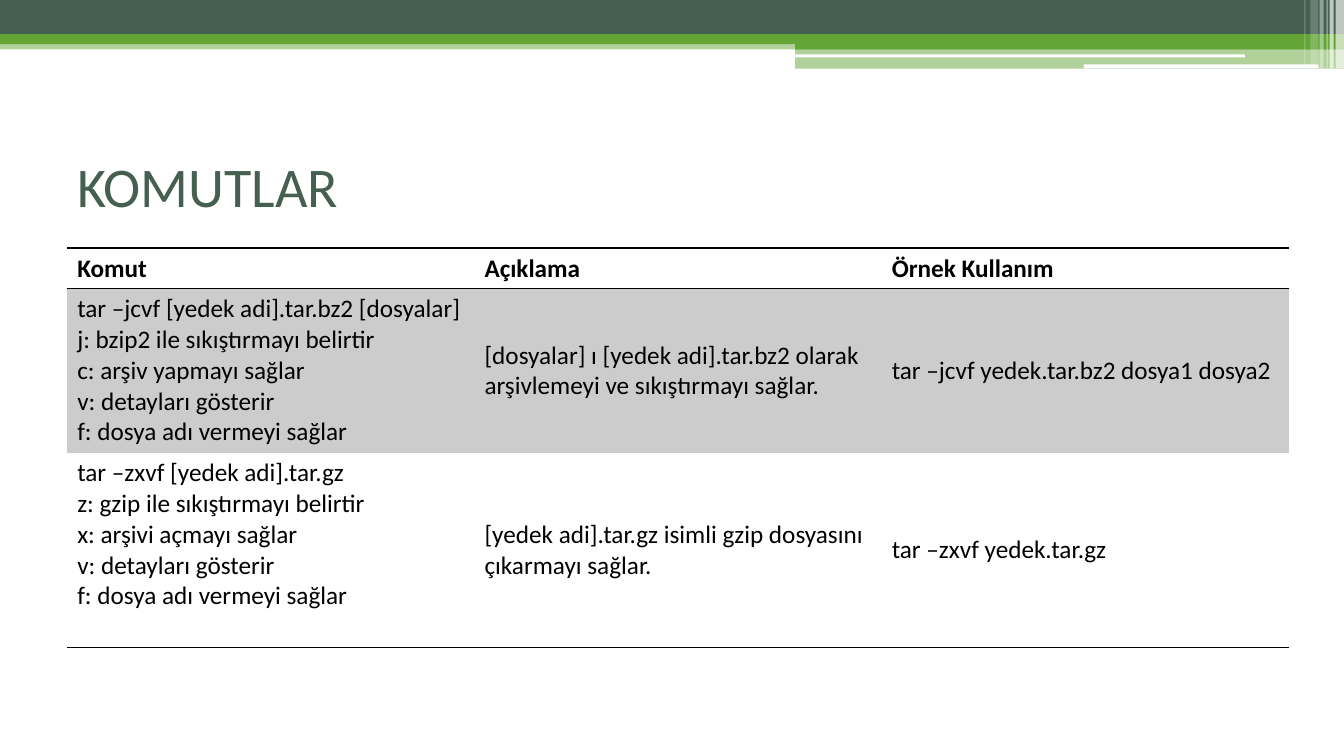
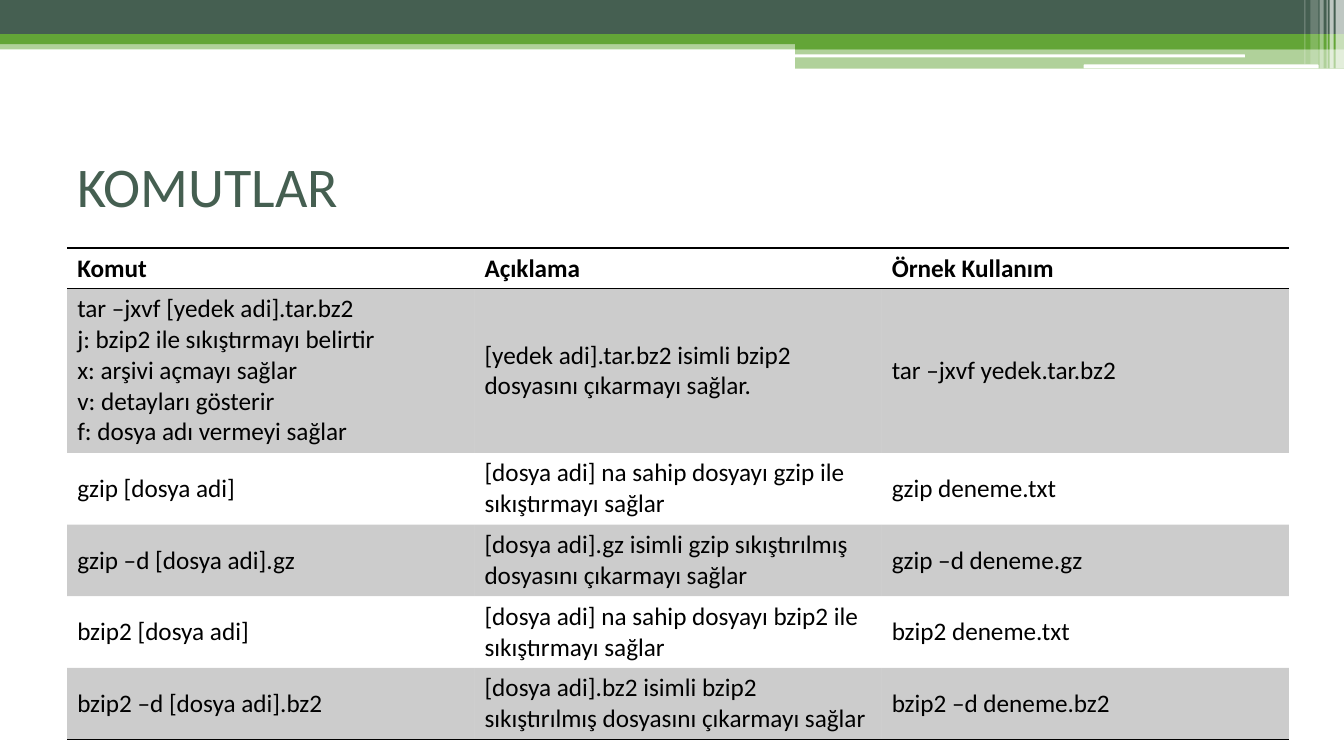
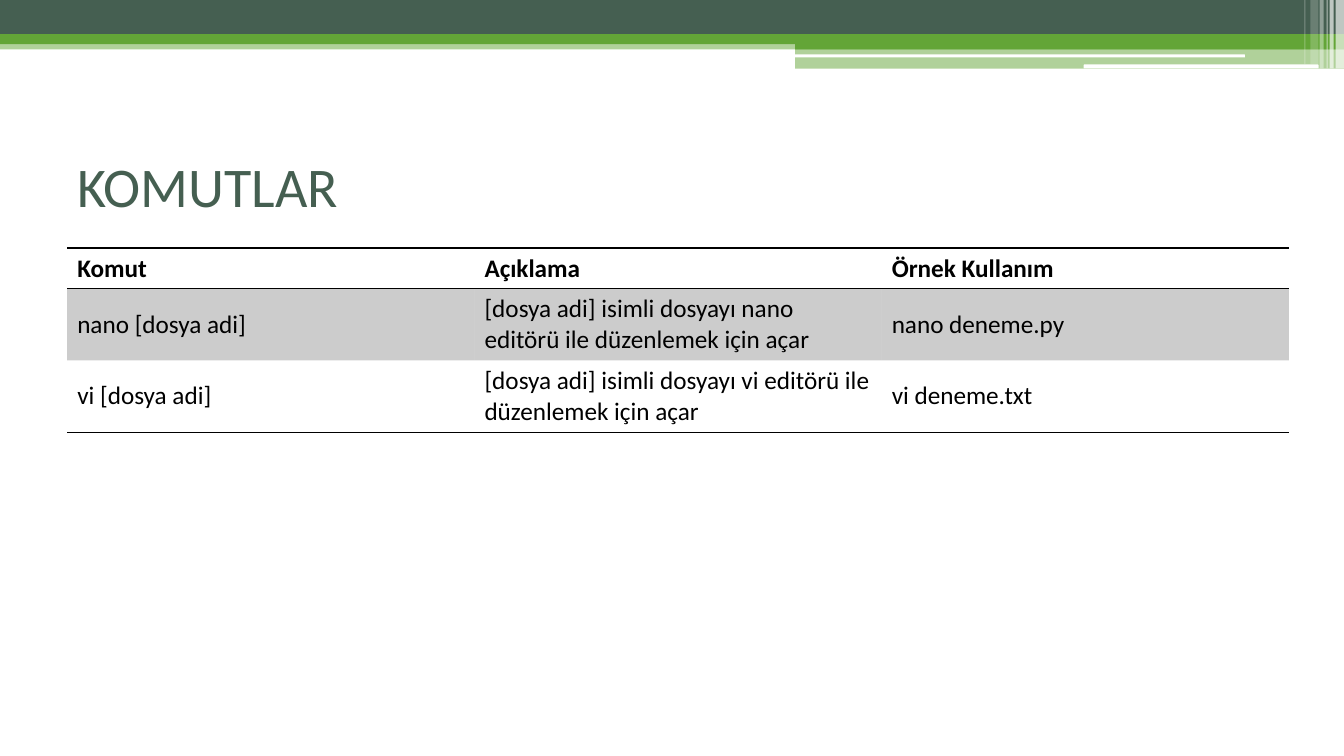
from lxml.etree import SubElement
from pptx import Presentation
from pptx.dml.color import RGBColor
from pptx.enum.shapes import MSO_SHAPE
from pptx.enum.text import MSO_ANCHOR, MSO_AUTO_SIZE, PP_ALIGN
from pptx.oxml.ns import qn
from pptx.util import Inches, Pt

PINE = RGBColor(0x45, 0x5F, 0x51)
LEAF = RGBColor(0x63, 0xA5, 0x37)
WHITE = RGBColor(0xFF, 0xFF, 0xFF)
BLACK = RGBColor(0x00, 0x00, 0x00)
FONT = "Calibri"
NO_GRID_STYLE = "{2D5ABB26-0587-4C30-8999-92F81FD0307C}"
LINE_HEIGHT = Pt(22)
CELL_PADDING = Inches(0.1)

deck = Presentation()
deck.slide_width = Inches(13.33)
deck.slide_height = Inches(7.5)
title_only = deck.slide_layouts[5]


def place(left, top, width, height):
    across, down = deck.slide_width / 100, deck.slide_height / 100
    return [int(left * across), int(top * down), int(width * across), int(height * down)]


def paint(fill, color, opacity=100):
    fill.solid()
    fill.fore_color.rgb = color
    if opacity < 100:
        tint = fill._xPr.find(qn("a:solidFill"))[0]
        SubElement(tint, qn("a:alpha"), val=str(opacity * 1000))


BANDS = [
    (MSO_SHAPE.RECTANGLE, (0, 5.33, 100, 1.2), LEAF, 50),
    (MSO_SHAPE.RECTANGLE, (0, 0, 100, 4.53), PINE, 100),
    (MSO_SHAPE.RECTANGLE, (0, 4.53, 100, 1.33), LEAF, 100),
    (MSO_SHAPE.RECTANGLE, (59.17, 5.2, 40.83, 1.33), LEAF, 100),
    (MSO_SHAPE.RECTANGLE, (59.17, 6.4, 40.83, 2.67), LEAF, 50),
    (MSO_SHAPE.ROUNDED_RECTANGLE, (59.1, 7.2, 33.53, 0.4), WHITE, 100),
    (MSO_SHAPE.ROUNDED_RECTANGLE, (80.63, 8.53, 17.48, 0.53), WHITE, 100),
    (MSO_SHAPE.RECTANGLE, (99.38, 0, 0.62, 9.07), WHITE, 65),
    (MSO_SHAPE.RECTANGLE, (98.93, 0, 0.3, 9.07), WHITE, 65),
    (MSO_SHAPE.RECTANGLE, (98.7, 0, 0.08, 9.07), WHITE, 60),
    (MSO_SHAPE.RECTANGLE, (98.18, 0, 0.3, 9.07), WHITE, 40),
    (MSO_SHAPE.RECTANGLE, (97.5, 0, 0.6, 8.53), WHITE, 20),
    (MSO_SHAPE.RECTANGLE, (97.05, 0, 0.08, 8.53), WHITE, 30),
]

HEADINGS = (1, "Komut", "Açıklama", "Örnek Kullanım")
COMMAND_TABLES = [
    [
        (5, "tar –jcvf [yedek adi].tar.bz2 [dosyalar]\n"
            "j: bzip2 ile sıkıştırmayı belirtir\n"
            "c: arşiv yapmayı sağlar\n"
            "v: detayları gösterir\n"
            "f: dosya adı vermeyi sağlar",
         "[dosyalar] ı [yedek adi].tar.bz2 olarak arşivlemeyi ve sıkıştırmayı sağlar.",
         "tar –jcvf yedek.tar.bz2 dosya1 dosya2"),
        (6, "tar –zxvf [yedek adi].tar.gz\n"
            "z: gzip ile sıkıştırmayı belirtir\n"
            "x: arşivi açmayı sağlar\n"
            "v: detayları gösterir\n"
            "f: dosya adı vermeyi sağlar",
         "[yedek adi].tar.gz isimli gzip dosyasını çıkarmayı sağlar.",
         "tar –zxvf yedek.tar.gz"),
    ],
    [
        (5, "tar –jxvf [yedek adi].tar.bz2\n"
            "j: bzip2 ile sıkıştırmayı belirtir\n"
            "x: arşivi açmayı sağlar\n"
            "v: detayları gösterir\n"
            "f: dosya adı vermeyi sağlar",
         "[yedek adi].tar.bz2 isimli bzip2 dosyasını çıkarmayı sağlar.",
         "tar –jxvf yedek.tar.bz2"),
        (2, "gzip [dosya adi]",
         "[dosya adi] na sahip dosyayı gzip ile sıkıştırmayı sağlar",
         "gzip deneme.txt"),
        (2, "gzip –d [dosya adi].gz",
         "[dosya adi].gz isimli gzip sıkıştırılmış dosyasını çıkarmayı sağlar",
         "gzip –d deneme.gz"),
        (2, "bzip2 [dosya adi]",
         "[dosya adi] na sahip dosyayı bzip2 ile sıkıştırmayı sağlar",
         "bzip2 deneme.txt"),
        (2, "bzip2 –d [dosya adi].bz2",
         "[dosya adi].bz2 isimli bzip2 sıkıştırılmış dosyasını çıkarmayı sağlar",
         "bzip2 –d deneme.bz2"),
    ],
    [
        (2, "nano [dosya adi]",
         "[dosya adi] isimli dosyayı nano editörü ile düzenlemek için açar",
         "nano deneme.py"),
        (2, "vi [dosya adi]",
         "[dosya adi] isimli dosyayı vi editörü ile düzenlemek için açar",
         "vi deneme.txt"),
    ],
]

slides = [deck.slides.add_slide(title_only) for _ in COMMAND_TABLES]

for order, (outline, area, color, opacity) in enumerate(BANDS):
    band = slides[0].shapes.add_shape(outline, *place(*area))
    band.shadow.inherit = False
    band.line.fill.background()
    paint(band.fill, color, opacity)
    band._element.nvSpPr.cNvPr.id = 100 + order
    title_only.shapes._spTree.insert(2 + order, band._element)

for slide, commands in zip(slides, COMMAND_TABLES):
    heading = slide.shapes.title
    heading.left, heading.top, heading.width, heading.height = place(5, 16.67, 90, 15.6)
    heading.text_frame.text = "KOMUTLAR"
    for attribute, value in {
        "vertical_anchor": MSO_ANCHOR.MIDDLE,
        "auto_size": MSO_AUTO_SIZE.NONE,
        "word_wrap": True,
    }.items():
        setattr(heading.text_frame, attribute, value)
    heading_line = heading.text_frame.paragraphs[0]
    heading_line.alignment = PP_ALIGN.LEFT
    heading_line.font.color.rgb = PINE
    for attribute, value in {"name": FONT, "size": Pt(40)}.items():
        setattr(heading_line.font, attribute, value)

    rows = [HEADINGS] + commands
    heights = [LINE_HEIGHT * lines + CELL_PADDING for lines, *_ in rows]
    left, top, width, _ = place(5, 32.8, 90.9, 0)
    grid = slide.shapes.add_table(len(rows), 3, left, top, width, sum(heights)).table
    grid.horz_banding = False
    grid._tbl.tblPr.find(qn("a:tableStyleId")).text = NO_GRID_STYLE

    for row, (_, *texts) in enumerate(rows):
        grid.rows[row].height = heights[row]
        is_heading = row == 0
        rules = ["a:lnT"] if is_heading else []
        if row in (0, len(rows) - 1):
            rules.append("a:lnB")
        for column, text in enumerate(texts):
            cell = grid.cell(row, column)
            cell.text = text
            at_top = is_heading or "\n" in text
            cell.vertical_anchor = MSO_ANCHOR.TOP if at_top else MSO_ANCHOR.MIDDLE
            for rule in rules:
                stroke = SubElement(cell._tc.get_or_add_tcPr(), qn(rule), w=str(Pt(1)))
                ink = SubElement(stroke, qn("a:solidFill"))
                SubElement(ink, qn("a:srgbClr"), val=str(BLACK))
            if row % 2:
                paint(cell.fill, BLACK, 20)
            else:
                cell.fill.background()
            for line in cell.text_frame.paragraphs:
                line.font.color.rgb = BLACK
                for attribute, value in {
                    "name": FONT, "size": Pt(18), "bold": is_heading,
                }.items():
                    setattr(line.font, attribute, value)

deck.save("out.pptx")
